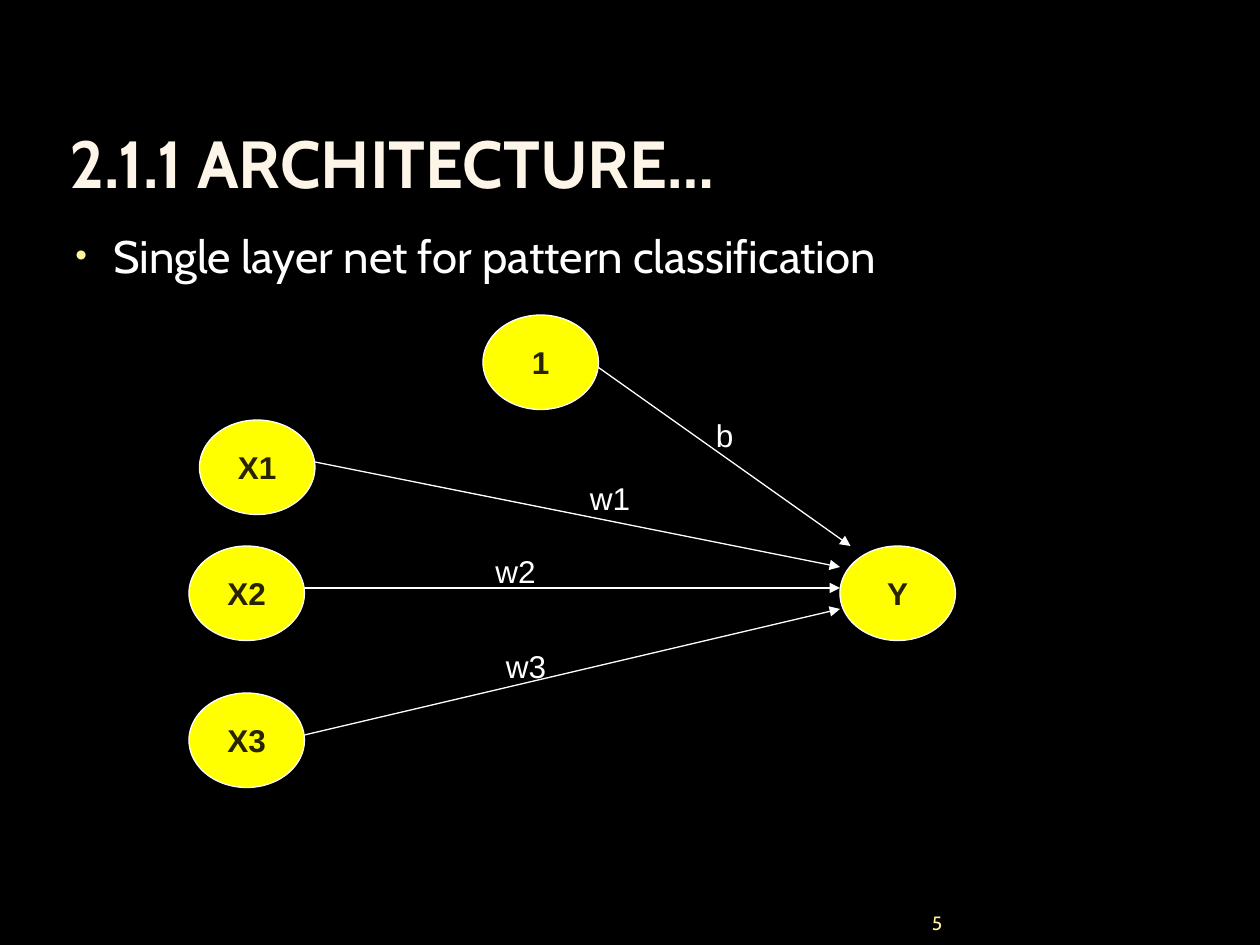
import pptx
import pptx.dml.color
import pptx.enum.shapes
import pptx.enum.text
import pptx.oxml.ns
import pptx.util
from lxml import etree

Pt = pptx.util.Pt
RGBColor = pptx.dml.color.RGBColor
ALIGN = pptx.enum.text.PP_ALIGN
ANCHOR = pptx.enum.text.MSO_ANCHOR
qn = pptx.oxml.ns.qn

BLACK = RGBColor(0x00, 0x00, 0x00)
WHITE = RGBColor(0xFF, 0xFF, 0xFF)
YELLOW = RGBColor(0xFF, 0xFF, 0x00)
OLIVE = RGBColor(0x29, 0x24, 0x00)
CREAM = RGBColor(0xFD, 0xF6, 0xE8)
PALE_YELLOW = RGBColor(0xFF, 0xF3, 0x9D)

NODE_W, NODE_H = 66, 54
NODES = [("X1", 114, 240), ("X2", 108, 312), ("X3", 108, 396),
         ("1", 276, 180), ("Y", 480, 312)]
ARROWS = [(174, 420, 480, 348), (174, 336, 480, 336),
          (180, 264, 480, 324), (342, 210, 486, 312)]
WEIGHTS = [("b", 402, 234, 24), ("w1", 330, 270, 42),
           ("w2", 276, 312, 54), ("w3", 282, 366, 60)]


def set_text(sp, text, size, font, color, bold=False, align=ALIGN.LEFT,
             anchor=ANCHOR.TOP, margins=(7.2, 3.6), wrap=True):
    """Fill a shape with one formatted paragraph and return it."""
    tf = sp.text_frame
    tf.text = text
    tf.auto_size = pptx.enum.text.MSO_AUTO_SIZE.NONE
    tf.word_wrap = wrap
    tf.vertical_anchor = anchor
    tf.margin_left = tf.margin_right = Pt(margins[0])
    tf.margin_top = tf.margin_bottom = Pt(margins[1])
    p = tf.paragraphs[0]
    p.alignment = align
    f = p.runs[0].font
    f.size, f.name, f.bold = Pt(size), font, bold
    f.color.rgb = color
    return p


def add_text(slide, box, text, size, font, color, **style):
    """Add a text box at the given left, top, width and height."""
    sp = slide.shapes.add_textbox(*map(Pt, box))
    return set_text(sp, text, size, font, color, **style)


def add_title(slide, text):
    """Place and format the title placeholder."""
    sp = slide.shapes.title
    sp.left, sp.top, sp.width, sp.height = map(Pt, (36, 25.2, 570, 90))
    set_text(sp, text, 38, "Cabin", CREAM, bold=True,
             anchor=ANCHOR.BOTTOM, margins=(3.6, 0))


def add_bullet(slide, box, text):
    """Add a bulleted line of body text."""
    p = add_text(slide, box, text, 26, "Cabin", WHITE)
    p.space_before = Pt(6)
    pPr = p._p.get_or_add_pPr()
    pPr.set("marL", str(Pt(21.6)))
    pPr.set("indent", str(-Pt(21.6)))
    color = etree.SubElement(pPr, qn("a:buClr"))
    etree.SubElement(color, qn("a:srgbClr")).set("val", str(PALE_YELLOW))
    etree.SubElement(pPr, qn("a:buSzPct")).set("val", "73000")
    etree.SubElement(pPr, qn("a:buFont")).set("typeface", "Arial")
    etree.SubElement(pPr, qn("a:buChar")).set("char", "•")


def add_node(slide, label, left, top):
    """Add one neuron of the net."""
    sp = slide.shapes.add_shape(pptx.enum.shapes.MSO_SHAPE.OVAL,
                                Pt(left), Pt(top), Pt(NODE_W), Pt(NODE_H))
    sp.shadow.inherit = False
    sp.fill.solid()
    sp.fill.fore_color.rgb = YELLOW
    sp.line.color.rgb = WHITE
    sp.line.width = Pt(0.75)
    set_text(sp, label, 18, "Arial", OLIVE, bold=True, align=ALIGN.CENTER,
             anchor=ANCHOR.MIDDLE, wrap=False)


def add_arrow(slide, *ends):
    """Add a straight arrow between two points."""
    line = slide.shapes.add_connector(
        pptx.enum.shapes.MSO_CONNECTOR.STRAIGHT, *map(Pt, ends))
    line.line.color.rgb = WHITE
    line.line.width = Pt(0.75)
    ln = line.line._get_or_add_ln()
    etree.SubElement(ln, qn("a:tailEnd")).set("type", "triangle")
    etree.SubElement(line._element.spPr, qn("a:effectLst"))


def main():
    """Build the slide and save it."""
    prs = pptx.Presentation()
    prs.slide_width, prs.slide_height = Pt(720), Pt(540)
    slide = prs.slides.add_slide(prs.slide_layouts[5])
    slide.background.fill.solid()
    slide.background.fill.fore_color.rgb = BLACK

    add_title(slide, "2.1.1 ARCHITECTURE…")
    add_bullet(slide, (36, 126.7, 570, 381.6),
               "Single layer net for pattern classification")
    add_text(slide, (492.5, 516.2, 46, 18), "5", 11, "Cabin", PALE_YELLOW,
             align=ALIGN.RIGHT, anchor=ANCHOR.BOTTOM, margins=(0, 0))
    for node in NODES:
        add_node(slide, *node)
    for arrow in ARROWS:
        add_arrow(slide, *arrow)
    for label, left, top, width in WEIGHTS:
        add_text(slide, (left, top, width, 28.8), label, 18, "Arial", WHITE)
    prs.save("out.pptx")


main()
